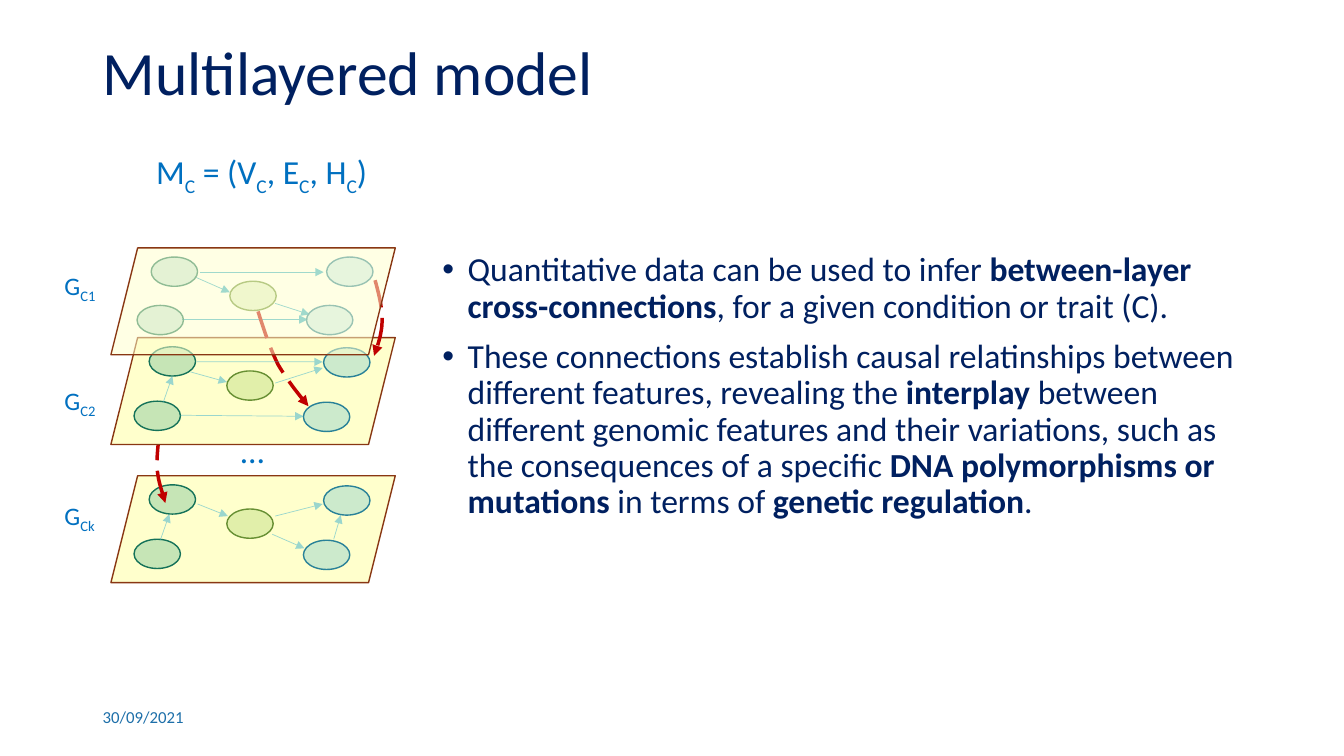
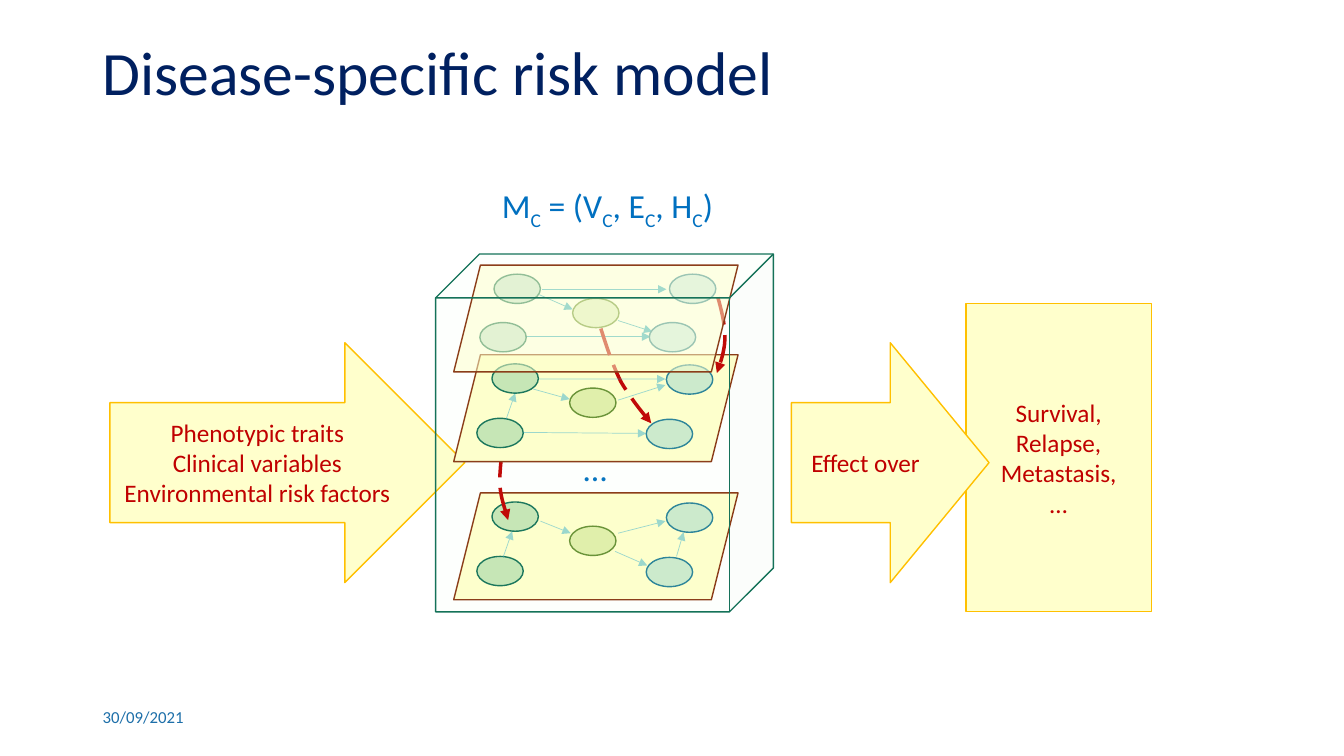
import dataclasses
import typing

import lxml.etree
import pptx
import pptx.dml.color
import pptx.enum.dml
import pptx.enum.shapes
import pptx.enum.text
import pptx.oxml.ns
import pptx.util

EMU_PER_PX = 9144  # 100 px to the inch
SHAPE = pptx.enum.shapes.MSO_SHAPE
ALIGN = pptx.enum.text.PP_ALIGN
ANCHOR = pptx.enum.text.MSO_ANCHOR
Point = tuple[int, int]


@dataclasses.dataclass(frozen=True)
class Theme:
    font: str = "Calibri"
    navy: str = "002060"
    blue: str = "0070C0"
    date: str = "1D6FA9"
    red: str = "C00000"
    yellow: str = "FFFFCC"
    gold: str = "FFC000"
    brown: str = "893713"
    edge: str = "36AFCE"
    cube_fill: str = "CCFFCC"
    cube_line: str = "157259"
    title_size: int = 44
    body_size: int = 24
    label_size: int = 18
    date_size: int = 12


THEME = Theme()


class Box(typing.NamedTuple):
    left: int
    top: int
    width: int
    height: int

    def moved(self, origin: Point) -> "Box":
        return self._replace(left=self.left + origin[0], top=self.top + origin[1])


class Node(typing.NamedTuple):
    at: Point
    fill: str
    line: str


class Edge(typing.NamedTuple):
    start: Point
    end: Point


class Layer(typing.NamedTuple):
    top: int
    nodes: list[Node]
    edges: list[Edge]


def make_nodes(*places: Point) -> list[Node]:
    """Colour five nodes: two green, one lime, two blue."""
    green, lime, blue = ("1D9A78", "157259"), ("8BC145", "678F33"), ("36AFCE", "288198")
    return [Node(at, *colours) for at, colours in zip(places, (green, green, lime, blue, blue))]


LOWER_NODES = make_nodes((38, 9), (23, 63), (115, 33), (211, 10), (191, 64))
TOP_LAYER = Layer(
    0,
    make_nodes((40, 9), (26, 57), (118, 33), (214, 9), (194, 57)),
    [Edge((84, 29), (118, 44)), Edge((163, 55), (197, 66)),
     Edge((88, 24), (211, 24)), Edge((71, 71), (195, 71))],
)
MIDDLE_LAYER = Layer(
    89,
    LOWER_NODES,
    [Edge((85, 24), (210, 24)), Edge((69, 77), (191, 78)), Edge((52, 64), (61, 38)),
     Edge((79, 34), (115, 44)), Edge((163, 45), (210, 30))],
)
BOTTOM_LAYER = Layer(
    226,
    LOWER_NODES,
    [Edge((49, 64), (58, 38)), Edge((86, 28), (116, 40)), Edge((163, 40), (210, 28)),
     Edge((160, 58), (192, 72)), Edge((221, 63), (228, 39))],
)
# Cross-layer links: a start point, then three points for each cubic segment.
MIDDLE_TO_BOTTOM = [(48, 183), (47, 196), (45, 209), (46, 220), (47, 232), (51, 242), (54, 253)]
TOP_TO_MIDDLE = [
    [(262, 32), (266, 46), (269, 59), (269, 72), (269, 84), (265, 96), (261, 107)],
    [(146, 63), (152, 82), (158, 100), (166, 116), (175, 131), (185, 144), (196, 157)],
]


def px(length: float) -> pptx.util.Emu:
    return pptx.util.Emu(round(length * EMU_PER_PX))


def rgb(colour: str) -> pptx.dml.color.RGBColor:
    return pptx.dml.color.RGBColor.from_string(colour)


def add_xml(parent, tag: str, **attributes: str) -> None:
    element = lxml.etree.SubElement(parent, pptx.oxml.ns.qn(tag))
    for name, value in attributes.items():
        element.set(name, value)


def set_opacity(properties, percent: int) -> None:
    """Make the solid fill directly under a spPr or ln element translucent."""
    colour = properties.find(pptx.oxml.ns.qn("a:solidFill"))[0]
    add_xml(colour, "a:alpha", val=str(percent * 1000))


def write_text(frame, text: str, *, size: int, colour: str, accent: str = "bold",
               align=ALIGN.LEFT, anchor=ANCHOR.TOP, line_spacing: float = 1.0,
               space_before: int = 0, bullet: bool = False) -> None:
    """Write one paragraph a line; every second part between bars is bold or subscript."""
    frame.word_wrap = True
    frame.vertical_anchor = anchor
    for index, line in enumerate(text.split("\n")):
        para = frame.add_paragraph() if index else frame.paragraphs[0]
        para.alignment = align
        para.line_spacing = line_spacing
        para.space_before = pptx.util.Pt(space_before)
        if bullet:
            properties = para._p.get_or_add_pPr()
            properties.set("marL", str(px(25)))
            properties.set("indent", str(px(-25)))
            add_xml(properties, "a:buFont", typeface="Arial")
            add_xml(properties, "a:buChar", char="•")
        for part, words in enumerate(line.split("|")):
            if not words:
                continue
            span = para.add_run()
            span.text = words
            span.font.name = THEME.font
            span.font.size = pptx.util.Pt(size)
            span.font.color.rgb = rgb(colour)
            if part % 2 and accent == "bold":
                span.font.bold = True
            elif part % 2:
                span._r.get_or_add_rPr().set("baseline", "-25000")


def add_text(shapes, box: Box, text: str, **text_format) -> None:
    write_text(shapes.add_textbox(*map(px, box)).text_frame, text, **text_format)


def add_block(shapes, kind, box: Box, fill: str, line: str, opacity: int = 100):
    shape = shapes.add_shape(kind, *map(px, box))
    shape.shadow.inherit = False
    shape.fill.solid()
    shape.fill.fore_color.rgb = rgb(fill)
    if opacity < 100:
        set_opacity(shape._element.spPr, opacity)
    shape.line.color.rgb = rgb(line)
    shape.line.width = pptx.util.Pt(1)
    return shape


def style_arrow(line, colour: str, width: float, opacity: int = 100, dash=None) -> None:
    line.color.rgb = rgb(colour)
    line.width = pptx.util.Pt(width)
    if dash is not None:
        line.dash_style = dash
    properties = line._get_or_add_ln()
    if opacity < 100:
        set_opacity(properties, opacity)
    add_xml(properties, "a:tailEnd", type="triangle")


def add_edges(shapes, layer: Layer, origin: Point, opacity: int = 100) -> None:
    left, top = origin[0], origin[1] + layer.top
    for (x1, y1), (x2, y2) in layer.edges:
        connector = shapes.add_connector(
            pptx.enum.shapes.MSO_CONNECTOR.STRAIGHT,
            px(left + x1), px(top + y1), px(left + x2), px(top + y2))
        style_arrow(connector.line, THEME.edge, 0.5, opacity)
        add_xml(connector._element.spPr, "a:effectLst")


def add_plane(shapes, layer: Layer, origin: Point, opacity: int = 100) -> None:
    add_block(shapes, SHAPE.PARALLELOGRAM, Box(0, layer.top, 282, 106).moved(origin),
              THEME.yellow, THEME.brown, opacity)


def add_nodes(shapes, layer: Layer, origin: Point) -> None:
    for node in layer.nodes:
        box = Box(*node.at, 46, 29).moved((origin[0], origin[1] + layer.top))
        add_block(shapes, SHAPE.OVAL, box, node.fill, node.line, 25)


def curve_points(controls: list[Point], steps: int = 12) -> list[tuple[float, float]]:
    """Sample a chain of cubic Bezier segments."""
    points = [controls[0]]
    for first in range(0, len(controls) - 1, 3):
        segment = controls[first:first + 4]
        for step in range(1, steps + 1):
            t = step / steps
            weights = ((1 - t) ** 3, 3 * t * (1 - t) ** 2, 3 * t * t * (1 - t), t ** 3)
            points.append(tuple(
                sum(weight * point[axis] for weight, point in zip(weights, segment))
                for axis in (0, 1)))
    return points


def add_link(shapes, controls: list[Point], origin: Point) -> None:
    points = [(px(x + origin[0]), px(y + origin[1])) for x, y in curve_points(controls)]
    builder = shapes.build_freeform(*points[0])
    builder.add_line_segments(points[1:], close=False)
    link = builder.convert_to_shape()
    link.shadow.inherit = False
    link.fill.background()
    style_arrow(link.line, THEME.red, 2.5, dash=pptx.enum.dml.MSO_LINE.LONG_DASH)


def add_model(page, origin: Point) -> None:
    """Draw the stacked layers as one group, from back to front."""
    shapes = page.shapes.add_group_shape().shapes
    add_edges(shapes, TOP_LAYER, origin)
    add_plane(shapes, BOTTOM_LAYER, origin)
    add_nodes(shapes, BOTTOM_LAYER, origin)
    add_link(shapes, MIDDLE_TO_BOTTOM, origin)
    add_plane(shapes, MIDDLE_LAYER, origin)
    add_nodes(shapes, MIDDLE_LAYER, origin)
    add_nodes(shapes, TOP_LAYER, origin)
    add_text(shapes, Box(119, 176, 44, 50).moved(origin), "…",
             size=THEME.body_size, colour=THEME.blue)
    for controls in TOP_TO_MIDDLE:
        add_link(shapes, controls, origin)
    add_plane(shapes, TOP_LAYER, origin, 53)
    for layer in (MIDDLE_LAYER, BOTTOM_LAYER):
        add_edges(shapes, layer, origin, 50)


def add_formula(page, left: int, top: int) -> None:
    add_text(page.shapes, Box(left, top, 237, 50), "M|C| = (V|C|, E|C|, H|C|)",
             size=THEME.body_size, colour=THEME.blue, accent="subscript")


def add_callout(page, kind, box: Box, text: str) -> None:
    callout = add_block(page.shapes, kind, box, THEME.yellow, THEME.gold)
    write_text(callout.text_frame, text, size=THEME.label_size, colour=THEME.red,
               align=ALIGN.CENTER, anchor=ANCHOR.MIDDLE)


def add_page(deck, title: str):
    page = deck.slides.add_slide(deck.slide_layouts[6])
    add_text(page.shapes, Box(92, 36, 1150, 77), title, size=THEME.title_size,
             colour=THEME.navy, anchor=ANCHOR.MIDDLE, line_spacing=0.9)
    add_text(page.shapes, Box(92, 695, 300, 33), "30/09/2021", size=THEME.date_size,
             colour=THEME.date, anchor=ANCHOR.MIDDLE)
    return page


def add_multilayer_page(deck) -> None:
    page = add_page(deck, "Multilayered model")
    add_formula(page, 145, 145)
    add_text(
        page.shapes, Box(429, 246, 810, 289),
        "Quantitative data can be used to infer |between-layer cross-connections|, "
        "for a given condition or trait (C).\n"
        "These connections establish causal relatinships between different features, "
        "revealing the |interplay |between different genomic features and their variations, "
        "such as the consequences of a specific |DNA polymorphisms or mutations| "
        "in terms of |genetic regulation|.",
        size=THEME.body_size, colour=THEME.navy, line_spacing=0.9, space_before=10, bullet=True)
    add_model(page, (110, 246))
    for index, name in enumerate(("C1", "C2", "Ck")):
        add_text(page.shapes, Box(54, 263 + 114 * index, 59, 40), f"G|{name}",
                 size=THEME.label_size, colour=THEME.blue, accent="subscript")


def add_risk_page(deck) -> None:
    page = add_page(deck, "Disease-specific risk model")
    add_callout(page, SHAPE.RIGHT_ARROW, Box(109, 340, 352, 238),
                "Phenotypic traits\nClinical variables\nEnvironmental risk factors")
    add_model(page, (450, 263))
    cube = add_block(page.shapes, SHAPE.CUBE, Box(432, 252, 335, 355),
                     THEME.cube_fill, THEME.cube_line, 4)
    cube.adjustments[0] = 0.13
    add_callout(page, SHAPE.RECTANGLE, Box(958, 301, 184, 306),
                "Survival,\nRelapse,\nMetastasis,\n…")
    add_callout(page, SHAPE.RIGHT_ARROW, Box(785, 340, 196, 238), "Effect over")
    add_formula(page, 488, 179)


def main() -> None:
    deck = pptx.Presentation()
    deck.slide_width, deck.slide_height = px(1333), px(750)
    add_multilayer_page(deck)
    add_risk_page(deck)
    deck.save("out.pptx")


if __name__ == "__main__":
    main()
